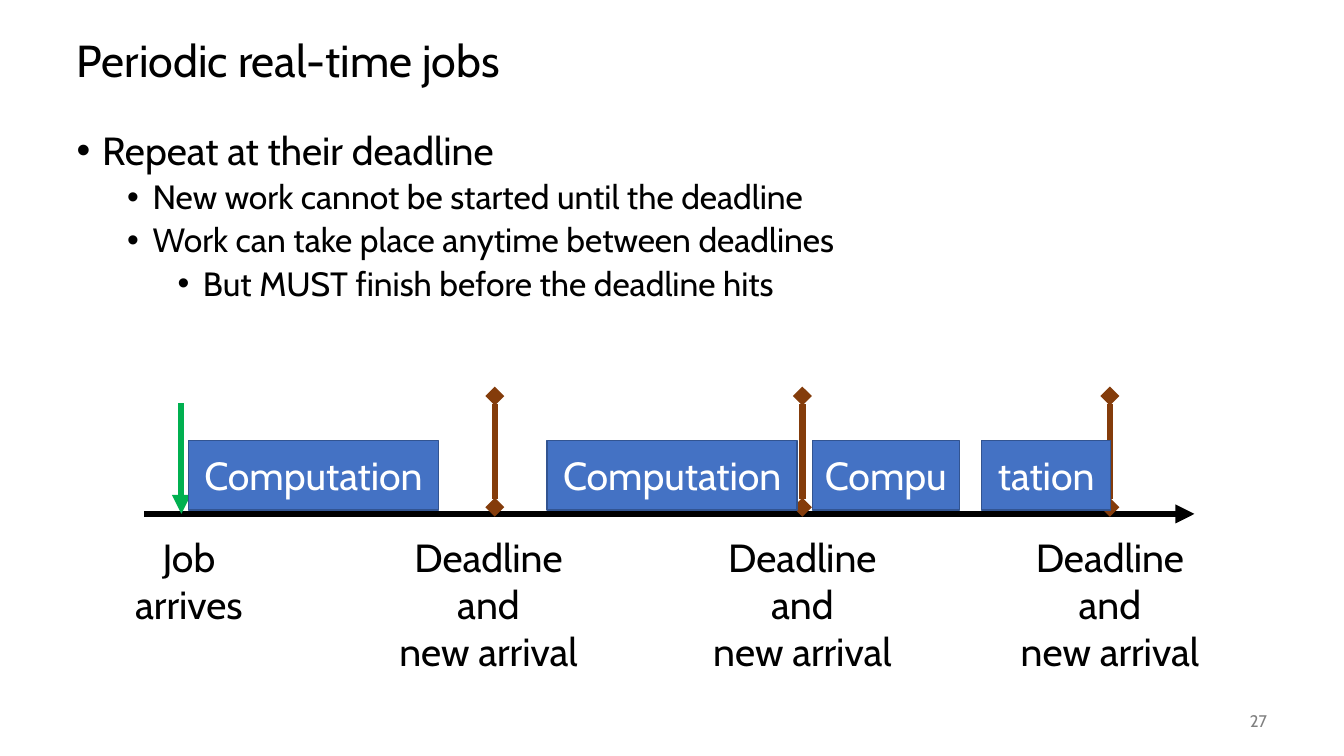
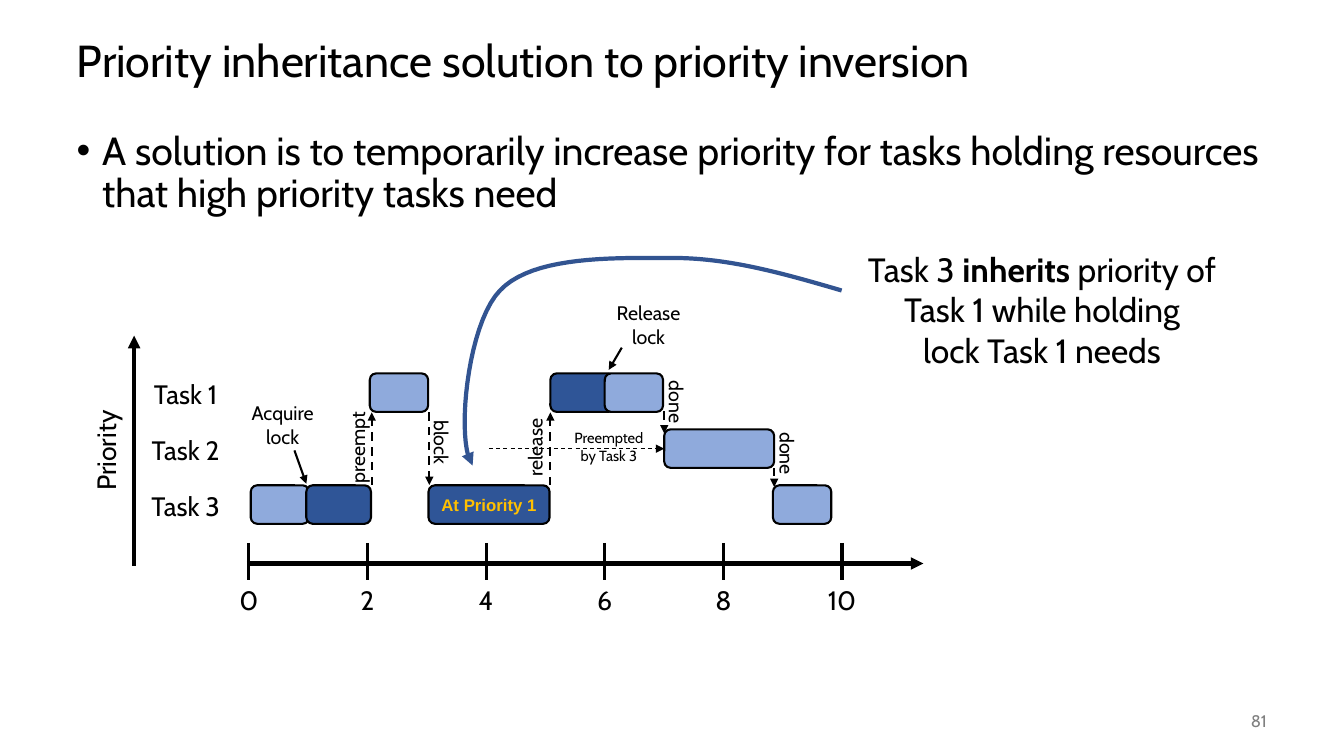
from pptx import Presentation
from pptx import util as u
from pptx.dml.color import RGBColor
from pptx.enum import dml, shapes, text
from pptx.oxml.ns import qn
from lxml import etree

Cm, Pt = u.Cm, u.Pt
ALIGN, ANCHOR = text.PP_ALIGN, text.MSO_ANCHOR
FONT = "Cabin"
COLORS = {
    "black": "000000", "white": "FFFFFF", "grey": "808080", "green": "00B050",
    "brown": "843C0B", "blue": "4472C4", "edge": "325491", "light": "8FAADC",
    "dark": "2F5597", "gold": "FFC000",
}
TITLE_FRAME = (1.68, 0.64, 30.48, 1.9)
BODY_FRAME = (1.68, 3.18, 30.48, 13.97)
NUMBER_FRAME = (29.64, 17.65, 2.54, 1.02)
BULLET_SIZES = (28, 24, 24)

PERIODIC = {
    "title": "Periodic real-time jobs",
    "number": "27",
    "bullets": [
        (0, "Repeat at their deadline"),
        (1, "New work cannot be started until the deadline"),
        (1, "Work can take place anytime between deadlines"),
        (2, "But MUST finish before the deadline hits"),
    ],
}
TIMELINE = ((3.63, 12.95), (30.1, 12.95))
ARRIVAL = ((4.57, 10.16), (4.57, 12.95))
ARRIVAL_LABEL = ("Job arrives", (2.97, 13.31, 3.58, 2.64))
DEADLINE_LABEL = "Deadline\nand\nnew arrival"
DEADLINES = [(12.47, 12.31), (20.22, 20.22), (27.97, 27.97)]
DEADLINE_TOP, DEADLINE_BOTTOM = 9.98, 12.78
LABEL_TOP, LABEL_WIDTH, LABEL_HEIGHT = 13.31, 5.51, 3.84
WORK_TOP, WORK_HEIGHT = 11.1, 1.75
WORK = [("Computation", 4.75, 6.3), ("Computation", 13.79, 6.3),
        ("Compu", 20.47, 3.71), ("tation", 24.74, 3.25)]

INHERITANCE = {
    "title": "Priority inheritance solution to priority inversion",
    "number": "81",
    "bullets": [(0, "A solution is to temporarily increase priority for tasks "
                    "holding resources that high priority tasks need")],
}
TASKS = ["Task 1", "Task 2", "Task 3"]
ROW_TOP, ROW_STEP, BAR_HEIGHT = 9.41, 1.41, 0.97
BARS = [
    (2, 6.32, 1.47, "light", ""), (2, 7.72, 1.63, "dark", ""),
    (0, 9.32, 1.47, "light", ""), (2, 10.8, 3.05, "dark", "At Priority 1"),
    (0, 13.87, 1.63, "dark", ""), (0, 15.24, 1.47, "light", ""),
    (1, 16.74, 2.77, "light", ""), (2, 19.48, 1.47, "light", ""),
]
PREEMPTED_BAR = 6
AXES = [((6.22, 14.2), (23.27, 14.2)), ((3.38, 14.25), (3.38, 8.46))]
TICKS = range(0, 11, 2)
TICK_LEFT, TICK_STEP = 6.27, 2.99
TICK_TOP, TICK_BOTTOM, TICK_LABEL_TOP = 13.68, 14.62, 14.58
SWITCHES = [
    ((9.37, 12.22), (9.37, 10.39)), ((10.82, 10.39), (10.82, 12.22)),
    ((13.87, 12.22), (13.87, 10.39)), ((16.74, 10.36), (16.74, 10.92)),
    ((19.51, 11.79), (19.51, 12.27)),
]
LOCK_ARROWS = [((7.42, 11.35), (7.72, 12.19)), ((15.67, 8.76), (15.34, 9.32))]
NOTES = [
    ("preempt", (7.82, 10.85, 2.39, 0.86), 14, 270),
    ("block", (9.93, 10.72, 2.39, 0.86), 14, 90),
    ("release", (12.29, 10.85, 2.39, 0.86), 14, 270),
    ("done", (15.85, 9.7, 2.39, 0.86), 14, 90),
    ("done", (18.64, 11, 2.39, 0.86), 14, 90),
    ("Priority", (1.22, 10.82, 2.9, 1.07), 19, 270),
    ("Acquire lock", (6.02, 9.98, 2.21, 1.45), 14, 0),
    ("Release lock", (15.19, 7.47, 2.31, 1.45), 14, 0),
    ("Preempted by Task 3", (14, 10.69, 2.69, 1.19), 10.5, 0),
    ("Task 3 *inherits* priority of\nTask 1 while holding\nlock Task 1 needs",
     (20.8, 6.15, 10.92, 3.33), 24, 0),
]
CURVE_START = (21.21, 7.32)
CURVES = [
    ((19.81, 6.91), (18.39, 6.5), (16.97, 6.5)),
    ((15.52, 6.5), (13.44, 6.43), (12.6, 7.32)),
    ((11.76, 8.18), (11.48, 11.18), (11.91, 11.73)),
]
CURVE_STEPS = 20


def color(name):
    return RGBColor.from_string(COLORS[name])


def lengths(values):
    return [Cm(value) for value in values]


def set_font(font, size, ink="black", face=FONT):
    font.name, font.size = face, Pt(size)
    font.color.rgb = color(ink)


def write(shape, content, size, ink="black", align=ALIGN.CENTER, anchor=ANCHOR.TOP, face=FONT):
    frame = shape.text_frame
    frame.word_wrap = True
    frame.auto_size = text.MSO_AUTO_SIZE.NONE
    frame.vertical_anchor = anchor
    for index, line in enumerate(content.split("\n")):
        para = frame.add_paragraph() if index else frame.paragraphs[0]
        para.alignment = align
        set_font(para.font, size, ink, face)
        for part, words in enumerate(line.split("*")):
            span = para.add_run()
            span.text = words
            if part % 2:
                span.font.bold = True
    return frame


def add_label(page, content, frame, size, rotation=0, **style):
    box = page.shapes.add_textbox(*lengths(frame))
    box.rotation = rotation
    write(box, content, size, **style)


def add_box(page, kind, frame, fill, edge, weight):
    box = page.shapes.add_shape(kind, *lengths(frame))
    box.shadow.inherit = False
    box.fill.solid()
    box.fill.fore_color.rgb = color(fill)
    box.line.color.rgb = color(edge)
    box.line.width = Pt(weight)
    return box


def style_line(shape, ink, weight, head=None, tail=None, dashed=False):
    shape.line.color.rgb = color(ink)
    shape.line.width = Pt(weight)
    if dashed:
        shape.line.dash_style = dml.MSO_LINE.DASH
    properties = shape.line._get_or_add_ln()
    for tag, kind in (("a:headEnd", head), ("a:tailEnd", tail)):
        if kind:
            etree.SubElement(properties, qn(tag), type=kind)


def add_line(page, start, end, ink, weight, **style):
    line = page.shapes.add_connector(shapes.MSO_CONNECTOR.STRAIGHT, *lengths(start + end))
    style_line(line, ink, weight, **style)
    etree.SubElement(line._element.spPr, qn("a:effectLst"))
    return line


def add_bullets(body, items):
    frame = body.text_frame
    frame.auto_size = text.MSO_AUTO_SIZE.NONE
    for index, (level, words) in enumerate(items):
        para = frame.add_paragraph() if index else frame.paragraphs[0]
        para.text, para.level = words, level
        properties = para._p.get_or_add_pPr()
        properties.set("marL", str(Cm(0.64 + 1.27 * level)))
        properties.set("indent", str(Cm(-0.64)))
        etree.SubElement(properties, qn("a:buFont"), typeface="Arial")
        etree.SubElement(properties, qn("a:buChar"), char="•")
        para.line_spacing = 0.9
        para.space_before = Pt(5 if index else 0)
        set_font(para.font, BULLET_SIZES[level])


def add_page(deck, content):
    page = deck.slides.add_slide(deck.slide_layouts[1])
    title, body = page.shapes.title, page.placeholders[1]
    for holder, frame in ((title, TITLE_FRAME), (body, BODY_FRAME)):
        holder.left, holder.top, holder.width, holder.height = lengths(frame)
    frame = write(title, content["title"], 32, align=ALIGN.LEFT, anchor=ANCHOR.MIDDLE)
    frame.paragraphs[0].line_spacing = 0.9
    add_bullets(body, content["bullets"])
    add_label(page, content["number"], NUMBER_FRAME, 12, ink="grey",
              align=ALIGN.RIGHT, anchor=ANCHOR.MIDDLE)
    return page


def build_periodic(deck):
    page = add_page(deck, PERIODIC)
    add_line(page, *TIMELINE, "black", 4.5, tail="triangle")
    add_line(page, *ARRIVAL, "green", 4.5, tail="triangle")
    add_label(page, *ARRIVAL_LABEL, 28)
    for x, center in DEADLINES:
        add_line(page, (x, DEADLINE_TOP), (x, DEADLINE_BOTTOM), "brown", 4.5,
                 head="diamond", tail="diamond")
        add_label(page, DEADLINE_LABEL,
                  (center - LABEL_WIDTH / 2, LABEL_TOP, LABEL_WIDTH, LABEL_HEIGHT), 28)
    for words, left, width in WORK:
        box = add_box(page, shapes.MSO_SHAPE.RECTANGLE,
                      (left, WORK_TOP, width, WORK_HEIGHT), "blue", "edge", 1)
        write(box, words, 28, "white", anchor=ANCHOR.MIDDLE)


def add_curve(page):
    points, start = [], CURVE_START
    for first, second, end in CURVES:
        for step in range(1, CURVE_STEPS + 1):
            t = step / CURVE_STEPS
            weights = ((1 - t) ** 3, 3 * t * (1 - t) ** 2, 3 * t * t * (1 - t), t ** 3)
            corners = (start, first, second, end)
            points.append([Cm(sum(w * corner[axis] for w, corner in zip(weights, corners)))
                           for axis in (0, 1)])
        start = end
    builder = page.shapes.build_freeform(*lengths(CURVE_START))
    builder.add_line_segments(points, close=False)
    curve = builder.convert_to_shape()
    curve.shadow.inherit = False
    curve.fill.background()
    style_line(curve, "edge", 3, tail="triangle")


def build_inheritance(deck):
    page = add_page(deck, INHERITANCE)
    for axis in AXES:
        add_line(page, *axis, "black", 3, tail="triangle")
    for index, tick in enumerate(TICKS):
        x = TICK_LEFT + TICK_STEP * index
        add_line(page, (x, TICK_TOP), (x, TICK_BOTTOM), "black", 2.25)
        add_label(page, str(tick), (x - 0.74, TICK_LABEL_TOP, 1.48, 1.07), 19)
    for row, task in enumerate(TASKS):
        add_label(page, task, (3.45, ROW_TOP + ROW_STEP * row, 2.46, 1.07), 19)
    bars = []
    for row, left, width, fill, words in BARS:
        bar = add_box(page, shapes.MSO_SHAPE.ROUNDED_RECTANGLE,
                      (left, ROW_TOP + ROW_STEP * row, width, BAR_HEIGHT), fill, "black", 1.5)
        if words:
            frame = write(bar, words, 12, "gold", anchor=ANCHOR.MIDDLE, face="Arial")
            frame.paragraphs[0].font.bold = True
        bars.append(bar)
    for switch in SWITCHES:
        add_line(page, *switch, "black", 1.5, tail="triangle", dashed=True)
    for arrow in LOCK_ARROWS:
        add_line(page, *arrow, "black", 1.5, tail="triangle")
    middle = ROW_TOP + ROW_STEP + BAR_HEIGHT / 2
    waiting = add_line(page, (12.32, middle), (16.74, middle), "black", 0.75,
                       tail="triangle", dashed=True)
    waiting.end_connect(bars[PREEMPTED_BAR], 1)
    for words, frame, size, rotation in NOTES:
        add_label(page, words, frame, size, rotation)
    add_curve(page)


def main():
    deck = Presentation()
    deck.slide_width, deck.slide_height = Cm(33.87), Cm(19.05)
    build_periodic(deck)
    build_inheritance(deck)
    deck.save("out.pptx")


if __name__ == "__main__":
    main()
